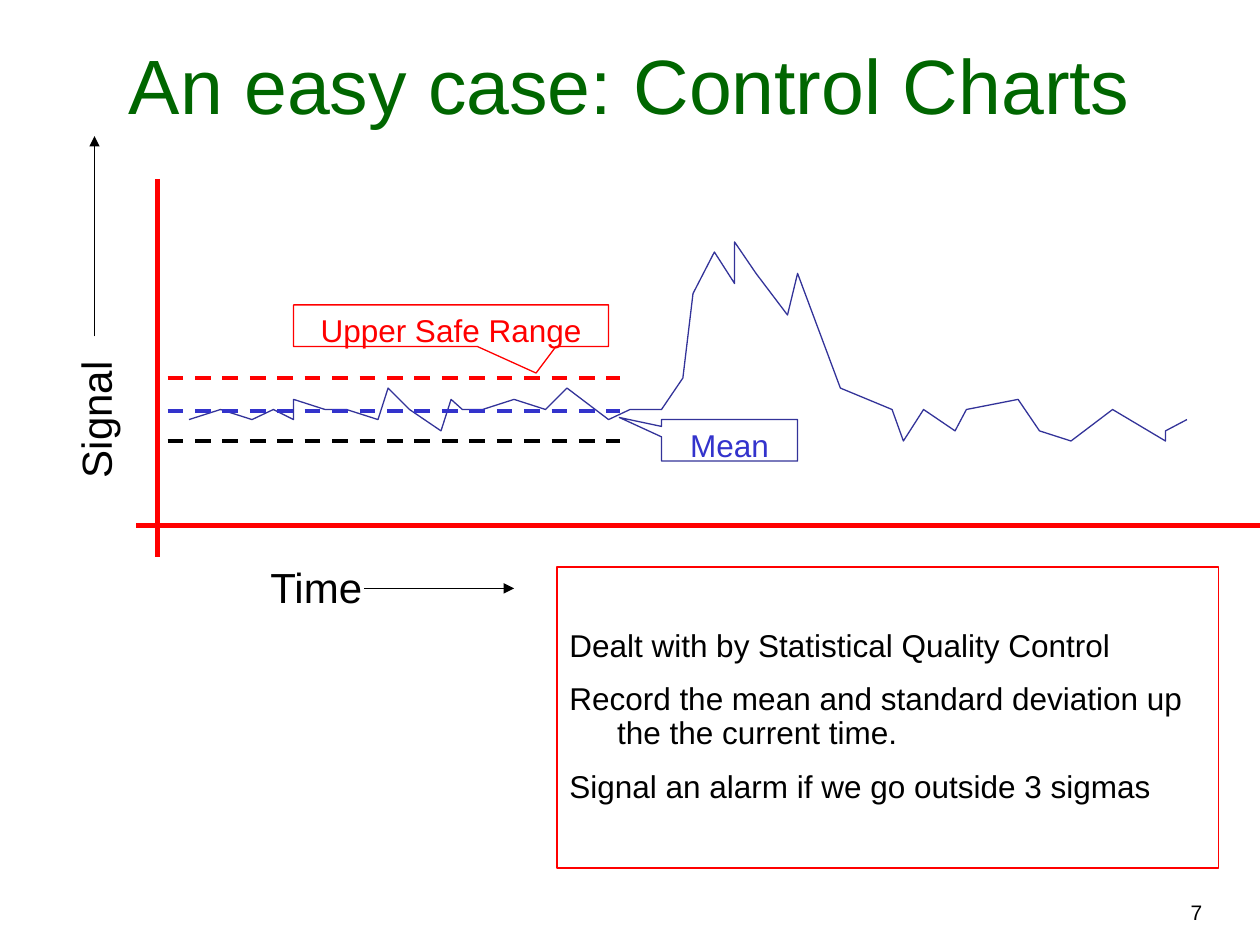
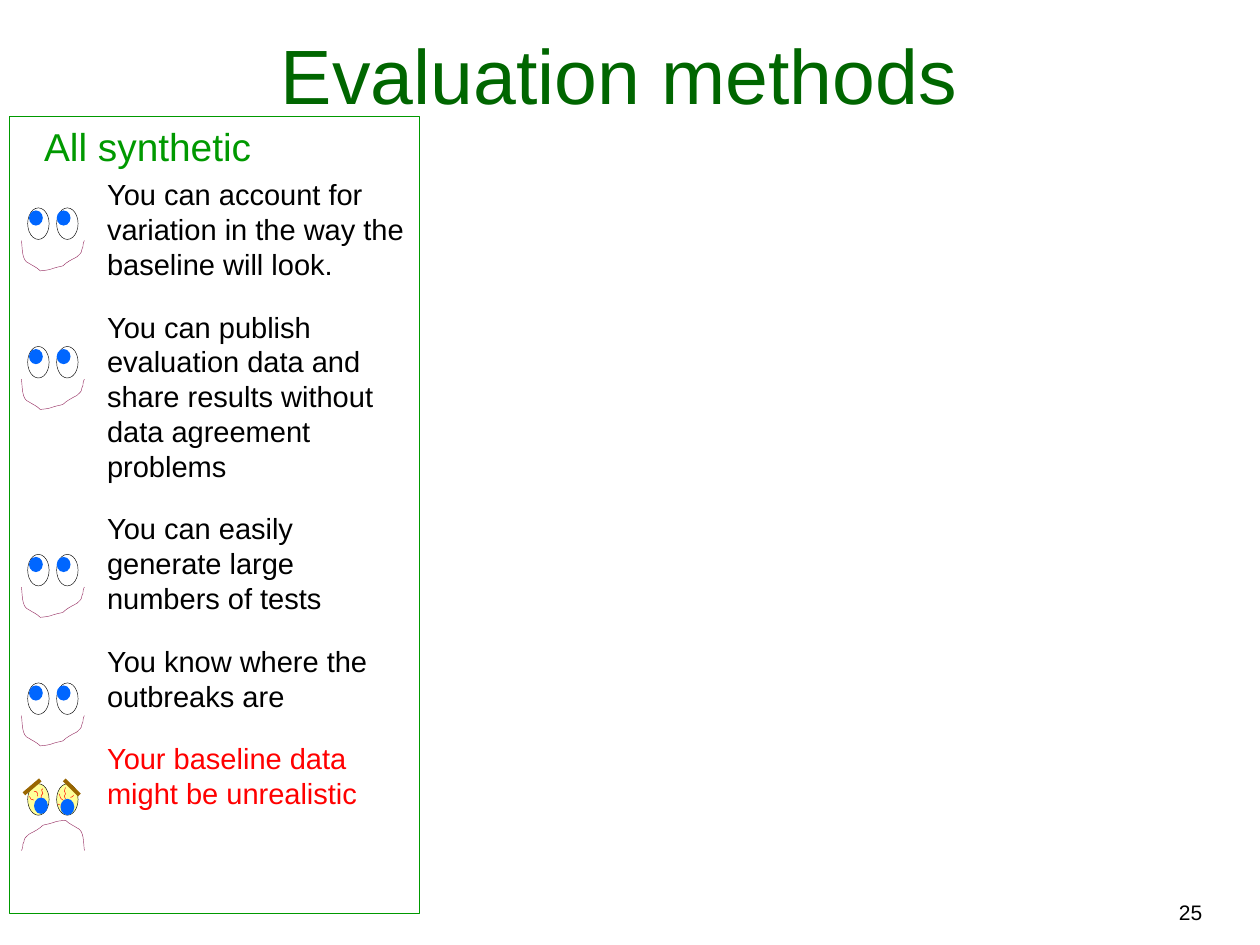
"""Build two slides: a control chart sketch and a list of evaluation methods."""
from dataclasses import dataclass
from typing import Any, NamedTuple

from lxml import etree
from pptx import Presentation
from pptx.dml.color import RGBColor
from pptx.enum.dml import MSO_LINE
from pptx.enum.shapes import MSO_CONNECTOR, MSO_SHAPE
from pptx.enum.text import MSO_ANCHOR, MSO_AUTO_SIZE, PP_ALIGN
from pptx.oxml.ns import qn
from pptx.util import Emu, Pt

PX = 9144
FONT = "Arial"
STRAIGHT = MSO_CONNECTOR.STRAIGHT
DASH = MSO_LINE.DASH
RECT, OVAL, CALLOUT = MSO_SHAPE.RECTANGLE, MSO_SHAPE.OVAL, MSO_SHAPE.RECTANGULAR_CALLOUT
LEFT, MID, RIGHT = PP_ALIGN.LEFT, PP_ALIGN.CENTER, PP_ALIGN.RIGHT
TOP, CENTER, BOTTOM = MSO_ANCHOR.TOP, MSO_ANCHOR.MIDDLE, MSO_ANCHOR.BOTTOM
FIXED = MSO_AUTO_SIZE.NONE

HUES = {
    "title": "006600", "head": "009900", "text": "000000", "alarm": "FF0000",
    "mean": "3333CC", "trace": "333399", "mouth": "993366", "pupil": "0066FF",
    "sick": "FFFF99", "brow": "996600",
}


class Box(NamedTuple):
    x: int
    y: int
    w: int
    h: int


class Rule(NamedTuple):
    x1: int
    y1: int
    x2: int
    y2: int
    hue: str
    width: float
    dash: bool = False
    arrow: bool = False


class Call(NamedTuple):
    box: Box
    text: str
    ink: str
    edge: str
    tip: tuple[float, float]


class Face(NamedTuple):
    y: int
    sad: bool = False


@dataclass(frozen=True)
class Look:
    size: float
    hue: str = "text"
    align: Any = LEFT
    before: float = 0
    after: float = 0
    pitch: float = 1.0
    level: int = 0
    margin: int = 0
    indent: int = 0


TITLE = Look(44, "title", MID)
LABEL = Look(24, align=MID)
NUMBER = Look(12, align=RIGHT)
NOTE = Look(18, before=11.25, pitch=0.9, margin=38, indent=-38)
HEAD = Look(22.2, "head", before=6)
GOOD = Look(16.6, before=4.5, after=11.25, level=1, margin=50)
BAD = Look(16.6, "alarm", before=4.5, after=11.25, level=1, margin=50)

AXES = [
    Rule(125, 142, 125, 442, "alarm", 3),
    Rule(108, 417, 1000, 417, "alarm", 3),
    Rule(289, 467, 408, 467, "text", 1, arrow=True),
    Rule(75, 267, 75, 108, "text", 1, arrow=True),
]
LIMITS = [
    Rule(133, y, 492, y, hue, 2.25, dash=True)
    for y, hue in ((326, "mean"), (300, "alarm"), (350, "text"))
]
TRACE = [
    (150, 333), (175, 325), (200, 333), (217, 325), (233, 333), (233, 317), (258, 325),
    (275, 325), (300, 333), (308, 308), (325, 325), (350, 342), (358, 317), (367, 325),
    (383, 325), (408, 317), (433, 325), (450, 308), (483, 333), (500, 325), (525, 325),
    (542, 300), (550, 233), (567, 200), (583, 225), (583, 192), (600, 217), (625, 250),
    (633, 217), (667, 308), (708, 325), (717, 350), (733, 325), (758, 342), (767, 325),
    (808, 317), (825, 342), (850, 350), (883, 325), (925, 350), (925, 342), (942, 333),
]
CALLS = [
    Call(Box(525, 333, 108, 33), "Mean", "mean", "trace", (-0.81, -0.55)),
    Call(Box(233, 242, 250, 33), "Upper Safe Range", "alarm", "alarm", (0.27, 1.14)),
]
NOTES = [
    "Dealt with by Statistical Quality Control",
    "Record the mean and standard deviation up the the current time.",
    "Signal an alarm if we go outside 3 sigmas",
]
POINTS = [
    ("All synthetic", HEAD),
    ("You can account for variation in the way the baseline will look.", GOOD),
    ("You can publish evaluation data and share results without data agreement problems", GOOD),
    ("You can easily generate large numbers of tests", GOOD),
    ("You know where the outbreaks are", GOOD),
    ("Your baseline data might be unrealistic", BAD),
]
FACES = [Face(165), Face(275), Face(542), Face(440), Face(622, True)]
MOUTH = [
    (17, 0), (18, 6), (17, 16), (23, 18), (26, 20), (29, 21), (32, 24), (42, 23), (38, 23),
    (46, 21), (47, 21), (50, 20), (50, 20), (53, 17), (57, 15), (61, 13), (63, 11), (65, 10),
    (65, 7), (66, 6), (66, 4), (66, 3), (66, 2), (67, 0), (67, 0),
]
VEINS = [
    [(33, 11), (33, 10), (32, 10), (33, 9), (33, 9), (34, 8), (34, 8), (34, 7), (33, 6),
     (33, 5), (33, 5), (34, 4), (34, 4)],
    [(30, 10), (30, 8), (30, 6), (27, 6)],
    [(27, 13), (24, 12), (25, 13), (24, 11), (24, 10), (23, 10), (23, 10)],
    [(50, 13), (49, 12), (48, 12), (48, 11), (48, 9), (48, 9), (47, 8)],
    [(52, 12), (51, 11), (51, 11), (51, 10), (51, 9), (52, 9), (52, 8), (52, 7), (51, 6),
     (51, 6), (52, 5), (52, 4), (52, 3)],
    [(56, 11), (57, 9), (56, 12), (58, 10), (59, 10), (58, 9), (58, 9)],
    [(48, 17), (47, 16), (46, 17), (46, 16)],
]


def emu(*vals: int) -> list[Emu]:
    """Turn px into EMU."""
    return [Emu(val * PX) for val in vals]


def tint(hue: str) -> RGBColor:
    """Return a named colour."""
    return RGBColor.from_string(HUES[hue])


def apply(item: Any, form: dict[str, Any]) -> None:
    """Set each format value on an item."""
    for name, val in form.items():
        setattr(item, name, val)


def write(frame: Any, rows: list[tuple[str, Look]], anchor: Any = TOP) -> None:
    """Fill a text frame with one paragraph per row."""
    apply(frame, {"word_wrap": True, "auto_size": FIXED, "vertical_anchor": anchor})
    for i, (text, look) in enumerate(rows):
        para = frame.paragraphs[0] if i == 0 else frame.add_paragraph()
        apply(para, {
            "alignment": look.align, "level": look.level, "line_spacing": look.pitch,
            "space_before": Pt(look.before), "space_after": Pt(look.after),
        })
        props = para._p.get_or_add_pPr()
        for name, val in (("marL", look.margin), ("indent", look.indent)):
            props.set(name, str(val * PX))
        etree.SubElement(props, qn("a:buNone"))
        run = para.add_run()
        apply(run, {"text": text})
        apply(run.font, {"name": FONT, "size": Pt(look.size)})
        run.font.color.rgb = tint(look.hue)


def place(item: Any, box: Box) -> None:
    """Move a placeholder to a box."""
    apply(item, dict(zip(("left", "top", "width", "height"), emu(*box))))


def label(shapes: Any, box: Box, text: str, look: Look, turn: int = 0) -> None:
    """Add a line of text."""
    item = shapes.add_textbox(*emu(*box))
    item.rotation = turn
    write(item.text_frame, [(text, look)])


def paint(item: Any, fill: str = "", edge: str = "", width: float = 0.75) -> None:
    """Set the fill and outline of a shape."""
    item.shadow.inherit = False
    for part, hue in ((item.fill, fill), (item.line.fill, edge)):
        if hue:
            part.solid()
            part.fore_color.rgb = tint(hue)
        else:
            part.background()
    if edge:
        item.line.width = Pt(width)


def form(shapes: Any, kind: Any, box: Box, fill: str = "", edge: str = "",
         width: float = 0.75) -> Any:
    """Add a preset shape."""
    item = shapes.add_shape(kind, *emu(*box))
    paint(item, fill, edge, width)
    return item


def rule(shapes: Any, spec: Rule) -> None:
    """Draw a straight line or arrow."""
    item = shapes.add_connector(STRAIGHT, *emu(spec.x1, spec.y1, spec.x2, spec.y2))
    item.line.color.rgb = tint(spec.hue)
    item.line.width = Pt(spec.width)
    if spec.dash:
        item.line.dash_style = DASH
    if spec.arrow:
        etree.SubElement(item.line._get_or_add_ln(), qn("a:tailEnd"), type="triangle")
    etree.SubElement(item._element.spPr, qn("a:effectLst"))


def trace(shapes: Any, spots: list[tuple[int, int]], hue: str, width: float) -> Any:
    """Draw an open outline through the spots."""
    first, *rest = [tuple(emu(*spot)) for spot in spots]
    maker = shapes.build_freeform(*first)
    maker.add_line_segments(rest, close=False)
    item = maker.convert_to_shape()
    paint(item, edge=hue, width=width)
    return item


def curve(shapes: Any, knots: list[tuple[int, int]], drop: int, hue: str) -> Any:
    """Draw a chain of cubic curves, moved down by drop."""
    item = trace(shapes, [(x, y + drop) for x, y in knots], hue, 0.25)
    legs = list(item._element.iter(qn("a:lnTo")))
    for i in range(0, len(legs), 3):
        bend = etree.SubElement(legs[i].getparent(), qn("a:cubicBezTo"))
        for leg in legs[i:i + 3]:
            bend.append(leg[0])
            leg.getparent().remove(leg)
    return item


def face(shapes: Any, spec: Face) -> None:
    """Draw a happy or sad face as a group."""
    group = shapes.add_group_shape().shapes
    mouth = curve(group, MOUTH, spec.y + (29 if spec.sad else 26), "mouth")
    mouth.rotation = 180 if spec.sad else 0
    for x in (22, 45):
        form(group, OVAL, Box(x, spec.y, 17, 25), "sick" if spec.sad else "", "text", 0.25)
    pupils = ((27, 11, 13), (48, 12, 13)) if spec.sad else ((23, 2, 12), (45, 2, 12))
    for x, drop, high in pupils:
        form(group, OVAL, Box(x, spec.y + drop, 11, high), "pupil")
    if spec.sad:
        for x1, y1, x2, y2 in ((19, 8, 32, -3), (51, -3, 63, 9)):
            rule(group, Rule(x1, spec.y + y1, x2, spec.y + y2, "brow", 2.25))
        for vein in VEINS:
            curve(group, vein, spec.y, "alarm")


def start(deck: Any, layout: int, title: str, box: Box, number: str) -> Any:
    """Add a slide with its title and number."""
    slide = deck.slides.add_slide(deck.slide_layouts[layout])
    place(slide.shapes.title, box)
    write(slide.shapes.title.text_frame, [(title, TITLE)], BOTTOM)
    label(slide.shapes, Box(572, 709, 392, 30), number, NUMBER)
    return slide


def control(deck: Any) -> None:
    """Build the control chart slide."""
    slide = start(deck, 5, "An easy case: Control Charts", Box(75, 25, 850, 83), "7")
    shapes = slide.shapes
    for axis in AXES:
        rule(shapes, axis)
    label(shapes, Box(150, 441, 202, 50), "Time", LABEL)
    label(shapes, Box(-58, 308, 267, 50), "Signal", LABEL, 270)
    panel = form(shapes, RECT, Box(442, 450, 525, 239), edge="alarm")
    write(panel.text_frame, [(text, NOTE) for text in NOTES], CENTER)
    trace(shapes, TRACE, "trace", 0.75)
    for limit in LIMITS:
        rule(shapes, limit)
    for call in CALLS:
        item = form(shapes, CALLOUT, call.box, edge=call.edge)
        for i, val in enumerate(call.tip):
            item.adjustments[i] = val
        write(item.text_frame, [(call.text, Look(18, call.ink, MID))])


def methods(deck: Any) -> None:
    """Build the evaluation methods slide."""
    slide = start(deck, 1, "Evaluation methods", Box(25, 25, 933, 75), "25")
    body = slide.placeholders[1]
    place(body, Box(25, 92, 308, 558))
    write(body.text_frame, POINTS)
    for spec in FACES:
        face(slide.shapes, spec)
    form(slide.shapes, RECT, Box(7, 92, 326, 633), edge="head", width=0.25)


def main() -> None:
    """Build and save the deck."""
    deck = Presentation()
    deck.slide_width, deck.slide_height = emu(1000, 750)
    control(deck)
    methods(deck)
    deck.save("out.pptx")


if __name__ == "__main__":
    main()
